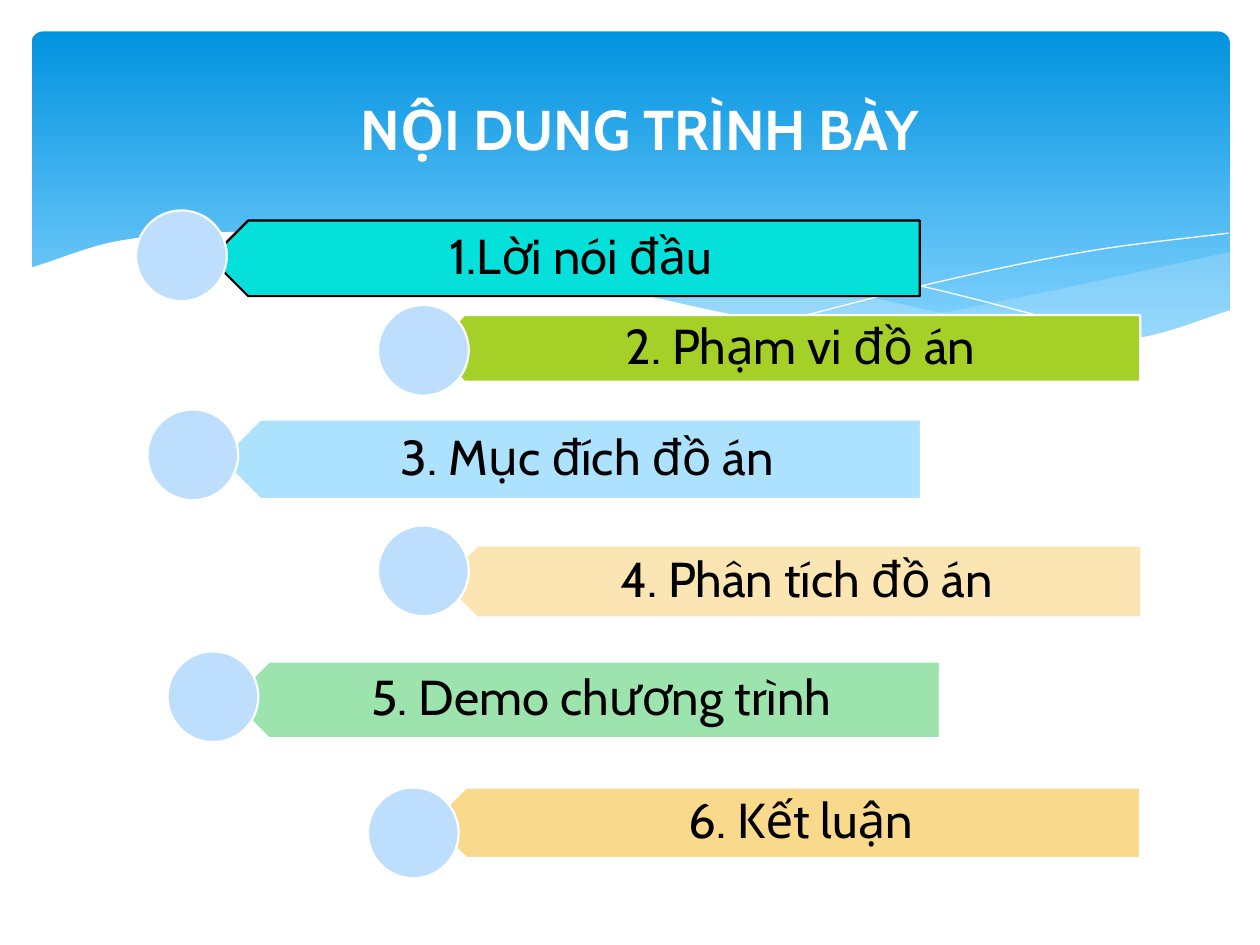
from dataclasses import dataclass
from itertools import pairwise
from lxml.etree import SubElement
from pptx import Presentation
from pptx.dml.color import RGBColor
from pptx.enum.shapes import MSO_SHAPE
from pptx.enum.text import MSO_ANCHOR, PP_ALIGN
from pptx.oxml.ns import qn
from pptx.util import Inches, Pt

FONT = "Cabin"
WHITE, BLACK = "FFFFFF", "000000"
DOT_BLUE, WAVE_BLUE = "BEDEFE", "C6E7FC"
DOT_SIZE = 0.72
CURVE_STEPS = 8

RIGHT_CREST = [(6.61, 2.65), (8.05, 2.37), (9.76, 2)]
RIGHT_TROUGH = [(6.61, 2.65), (8.03, 2.78), (9.05, 2.69), (9.76, 2.47)]
MIDDLE_CREST = [(2.86, 1.91), (3.8, 1.85), (5.14, 1.98), (6.29, 2.22), (7.75, 2.54), (8.93, 2.73)]
MIDDLE_TROUGH = [(2.86, 1.91), (4.49, 2.22), (6.01, 2.55), (7.22, 2.74), (8.07, 2.78), (8.93, 2.73)]
FALLING_LINE = [(3.09, 1.95), (4.01, 1.87), (5.33, 1.94), (6.95, 2.19), (9.07, 2.72)]
RISING_LINE = [(6.13, 2.57), (7.48, 2.23), (8.66, 1.99), (9.75, 1.85)]
WHITE_CREST = [(0.23, 2.13), (0.95, 1.91), (1.93, 1.84), (2.92, 1.9), (4.47, 2.2),
               (6.03, 2.54), (7.26, 2.72), (8.23, 2.77), (9.1, 2.67), (9.77, 2.46)]
WHITE_BASE = [(0.23, 3.29), (9.77, 3.29)]


@dataclass
class Item:
    text: str
    left: float
    top: float
    height: float
    fill: str
    width: float = 5.63
    line: str = WHITE
    dot_reach: float = 0.5
    dot_rise: float = 0.08


ITEMS = [
    Item("Lời nói đầu", 1.67, 1.75, 0.6, "05E0DB", line=BLACK, dot_reach=0.59),
    Item("Phạm vi đồ án", 3.42, 2.5, 0.53, "A5D028", dot_reach=0.42),
    Item("Mục đích đồ án", 1.75, 3.33, 0.63, "ADE2FE", width=5.56, dot_reach=0.58),
    Item("Phân tích đồ án", 3.5, 4.33, 0.57, "FBE6B3", width=5.56, dot_rise=0.16),
    Item("Demo chương trình", 1.83, 5.25, 0.61, "9DE3AE"),
    Item("Kết luận", 3.42, 6.25, 0.56, "F9D98C", dot_rise=0)]


def rgb(color):
    return RGBColor.from_string(color)


def box(*lengths):
    return [Inches(length) for length in lengths]


def smooth(knots):
    neighbours = zip(knots[:1] + knots[:-1], knots[1:] + knots[-1:])
    slopes = [(y1 - y0) / (x1 - x0) for (x0, y0), (x1, y1) in neighbours]
    points = [knots[0]]
    for ((x0, y0), m0), ((x1, y1), m1) in pairwise(zip(knots, slopes)):
        span = x1 - x0
        for step in range(1, CURVE_STEPS + 1):
            t = step / CURVE_STEPS
            ease = t * t * (3 - 2 * t)
            bend = t * (1 - t) * span * (m0 * (1 - t) - m1 * t)
            points.append((x0 + t * span, y0 + ease * (y1 - y0) + bend))
    return points


def paint(sp, fill, line=None, weight=1.25):
    sp.shadow.inherit = False
    if fill:
        sp.fill.solid()
        sp.fill.fore_color.rgb = rgb(fill)
    else:
        sp.fill.background()
    if line:
        sp.line.color.rgb = rgb(line)
        sp.line.width = Pt(weight)
    else:
        sp.line.fill.background()


def add_panel(s):
    sp = s.shapes.add_shape(MSO_SHAPE.ROUNDED_RECTANGLE, *box(0.25, 0.25, 9.51, 2.7))
    sp.adjustments[0] = 0.034
    paint(sp, None)
    sp.fill.gradient()
    sp.fill.gradient_angle = 270
    stops = zip(sp.fill.gradient_stops, (0, 0.9), ("0293E0", "83D3FE"))
    for stop, position, color in stops:
        stop.position = position
        stop.color.rgb = rgb(color)


def add_outline(s, points, closed):
    start, *rest = [box(x, y) for x, y in points]
    builder = s.shapes.build_freeform(*start)
    builder.add_line_segments(rest, close=closed)
    return builder.convert_to_shape()


def add_wave(s, upper, lower, color, opacity=100):
    sp = add_outline(s, smooth(upper) + smooth(lower)[::-1], True)
    paint(sp, color)
    if opacity < 100:
        clr = sp.element.spPr.find(qn("a:solidFill"))[0]
        SubElement(clr, qn("a:alpha")).set("val", str(opacity * 1000))


def add_hairline(s, knots):
    paint(add_outline(s, smooth(knots), False), None, WHITE, 0)


def write(tf, text, size, color, bold=False):
    tf.word_wrap = True
    tf.vertical_anchor = MSO_ANCHOR.MIDDLE
    p = tf.paragraphs[0]
    p.alignment = PP_ALIGN.CENTER
    r = p.add_run()
    r.text = text
    r.font.name = FONT
    r.font.size = Pt(size)
    r.font.bold = bold
    r.font.color.rgb = rgb(color)
    return p


def add_plate(s, item):
    sp = s.shapes.add_shape(
        MSO_SHAPE.PENTAGON, *box(item.left, item.top, item.width, item.height))
    sp.rotation = 180
    paint(sp, item.fill, item.line)


def add_label(s, item, text):
    inset = item.height / 4
    tf = s.shapes.add_textbox(
        *box(item.left + inset, item.top, item.width - inset, item.height)).text_frame
    tf.margin_left, tf.margin_right = box(0.32, 0.22)
    tf.margin_top = tf.margin_bottom = Inches(0.12)
    write(tf, text, 28, BLACK).line_spacing = 0.9


def add_dot(s, item):
    left, top = item.left - item.dot_reach, item.top - item.dot_rise
    sp = s.shapes.add_shape(MSO_SHAPE.OVAL, *box(left, top, DOT_SIZE, DOT_SIZE))
    paint(sp, DOT_BLUE, WHITE)


def add_title(s, text):
    title = s.shapes.title
    title.left, title.top, title.width, title.height = box(0.58, 0.33, 9, 1.37)
    write(title.text_frame, text, 32, WHITE, True)
    title.element.getparent().append(title.element)


def main():
    prs = Presentation()
    prs.slide_width, prs.slide_height = box(10, 7.5)
    s = prs.slides.add_slide(prs.slide_layouts[5])
    add_panel(s)
    add_wave(s, RIGHT_CREST, RIGHT_TROUGH, WAVE_BLUE, 29)
    add_wave(s, MIDDLE_CREST, MIDDLE_TROUGH, WAVE_BLUE, 40)
    for knots in (FALLING_LINE, RISING_LINE):
        add_hairline(s, knots)
    add_wave(s, WHITE_CREST, WHITE_BASE, WHITE)
    for number, item in enumerate(ITEMS, 1):
        gap = "" if number == 1 else " "
        add_plate(s, item)
        add_label(s, item, f"{number}.{gap}{item.text}")
        add_dot(s, item)
    add_title(s, "NỘI DUNG TRÌNH BÀY")
    prs.save("out.pptx")


if __name__ == "__main__":
    main()
